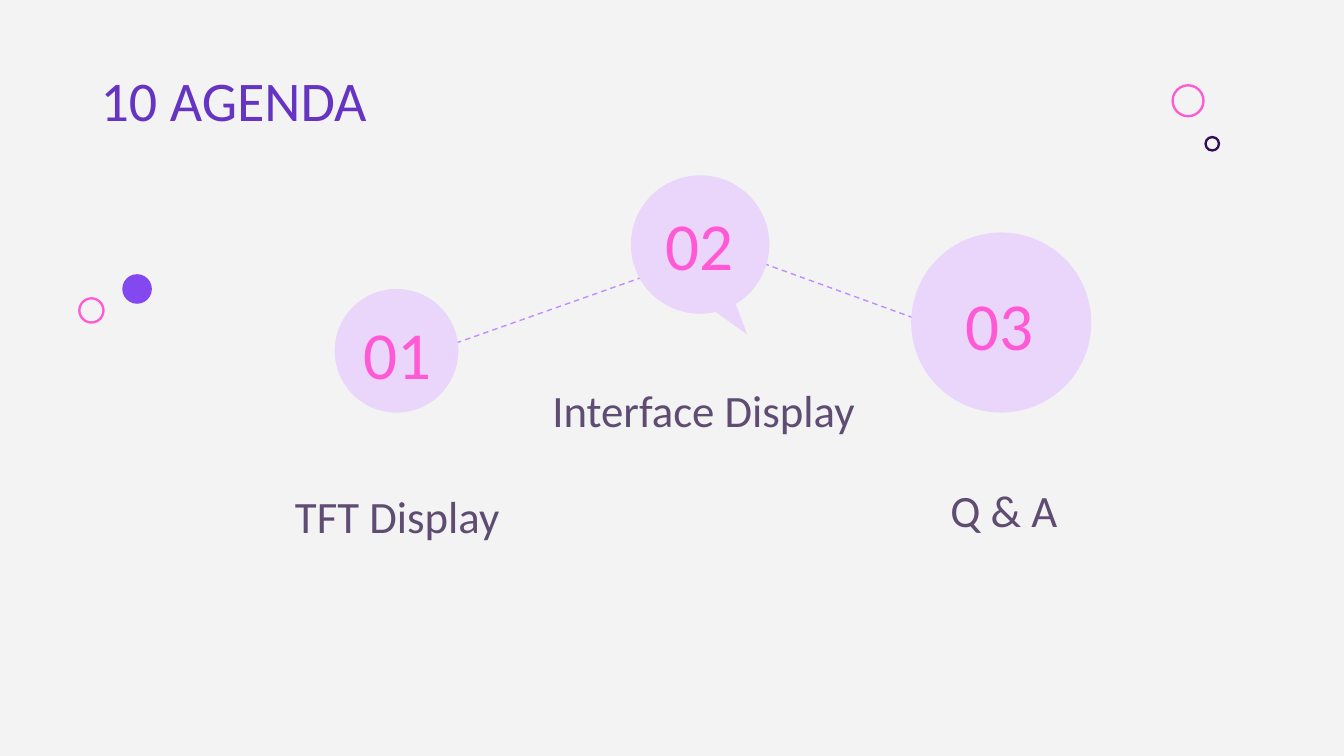
from math import cos, radians, sin

from lxml.etree import SubElement
from pptx import Presentation
from pptx.dml.color import RGBColor
from pptx.enum.dml import MSO_LINE
from pptx.enum.shapes import MSO_CONNECTOR, MSO_SHAPE
from pptx.enum.text import MSO_ANCHOR, PP_ALIGN
from pptx.oxml.ns import qn
from pptx.util import Inches, Pt

BACKGROUND = RGBColor(0xF3, 0xF3, 0xF3)
PINK = RGBColor(0xFF, 0x59, 0xD6)
NAVY = RGBColor(0x30, 0x0D, 0x59)
VIOLET = RGBColor(0x83, 0x48, 0xF0)
TITLE_PURPLE = RGBColor(0x66, 0x34, 0xC3)
LABEL_PURPLE = RGBColor(0x5E, 0x4C, 0x72)
LILAC = RGBColor(0xEA, 0xD5, 0xFB)
LINE_LILAC = RGBColor(0xC0, 0x8C, 0xFF)

TITLE = "10 AGENDA"
TITLE_BOX = (0.65, 0.39, 7.36, 0.71)

AGENDA = [
    {"number": "01", "number_box": (2.56, 2.31, 0.79, 0.63),
     "label": "TFT Display", "label_box": (1.55, 3.21, 2.81, 0.93),
     "center": (2.95, 2.61), "diameter": 0.92, "tail_tip": None},
    {"number": "02", "number_box": (4.48, 1.5, 1.45, 0.63),
     "label": "Interface Display", "label_box": (3.72, 2.64, 3.03, 0.71),
     "center": (5.21, 1.82), "diameter": 1.03, "tail_tip": (5.56, 2.49)},
    {"number": "03", "number_box": (6.78, 2.09, 1.32, 0.63),
     "label": "Q & A", "label_box": (5.92, 3.13, 3.1, 0.96),
     "center": (7.45, 2.4), "diameter": 1.34, "tail_tip": None},
]
TAIL_ANGLES = (59, 77)

LINKS = [((5.21, 1.79), (7.39, 2.58)), ((2.92, 2.72), (5.24, 1.9))]

RINGS = [
    ((8.84, 0.75), 0.23, PINK),
    ((9.02, 1.07), 0.1, NAVY),
    ((0.68, 2.31), 0.18, PINK),
]
DOT = ((1.02, 2.15), 0.22)

presentation = Presentation()
presentation.slide_width = Inches(10)
presentation.slide_height = presentation.slide_width * 9 // 16
slide = presentation.slides.add_slide(presentation.slide_layouts[6])
slide.background.fill.solid()
slide.background.fill.fore_color.rgb = BACKGROUND


def paint(shape, color):
    shape.shadow.inherit = False
    shape.fill.solid()
    shape.fill.fore_color.rgb = color
    shape.line.fill.background()


def add_circle(center, diameter):
    left, top = (value - diameter / 2 for value in center)
    return slide.shapes.add_shape(
        MSO_SHAPE.OVAL, Inches(left), Inches(top), Inches(diameter), Inches(diameter))


def add_ring(center, diameter, color):
    ring = add_circle(center, diameter)
    ring.shadow.inherit = False
    ring.fill.background()
    ring.line.color.rgb = color
    ring.line.width = Pt(1.25)


def add_bubble(center, diameter, tail_tip):
    tail_end, tail_start = TAIL_ANGLES
    outline = [
        (center[0] + diameter / 2 * cos(radians(angle)),
         center[1] + diameter / 2 * sin(radians(angle)))
        for angle in range(tail_start, tail_end + 361, 3)
    ]
    points = [(Inches(x), Inches(y)) for x, y in outline + [tail_tip]]
    builder = slide.shapes.build_freeform(*points[0])
    builder.add_line_segments(points[1:], close=True)
    return builder.convert_to_shape()


def add_link(start, end):
    connector = slide.shapes.add_connector(
        MSO_CONNECTOR.STRAIGHT, *map(Inches, start + end))
    connector.line.color.rgb = LINE_LILAC
    connector.line.width = Pt(0.75)
    connector.line.dash_style = MSO_LINE.DASH
    SubElement(connector._element.spPr, qn("a:effectLst"))


def add_text(text, box, size, color, align=PP_ALIGN.CENTER, anchor=MSO_ANCHOR.MIDDLE):
    frame = slide.shapes.add_textbox(*map(Inches, box)).text_frame
    frame.word_wrap = True
    frame.vertical_anchor = anchor
    frame.margin_left = frame.margin_right = Inches(0.1)
    frame.margin_top = frame.margin_bottom = Inches(0.1)
    paragraph = frame.paragraphs[0]
    paragraph.text = text
    paragraph.alignment = align
    paragraph.font.name = "Calibri"
    paragraph.font.size = Pt(size)
    paragraph.font.color.rgb = color


for ring in RINGS:
    add_ring(*ring)
paint(add_circle(*DOT), VIOLET)

for link in LINKS:
    add_link(*link)

add_text(TITLE, TITLE_BOX, size=30, color=TITLE_PURPLE,
         align=PP_ALIGN.LEFT, anchor=MSO_ANCHOR.TOP)

for item in AGENDA:
    if item["tail_tip"]:
        bubble = add_bubble(item["center"], item["diameter"], item["tail_tip"])
    else:
        bubble = add_circle(item["center"], item["diameter"])
    paint(bubble, LILAC)
    add_text(item["number"], item["number_box"], size=36, color=PINK)
    add_text(item["label"], item["label_box"], size=24, color=LABEL_PURPLE,
             anchor=MSO_ANCHOR.BOTTOM)

presentation.save("out.pptx")
